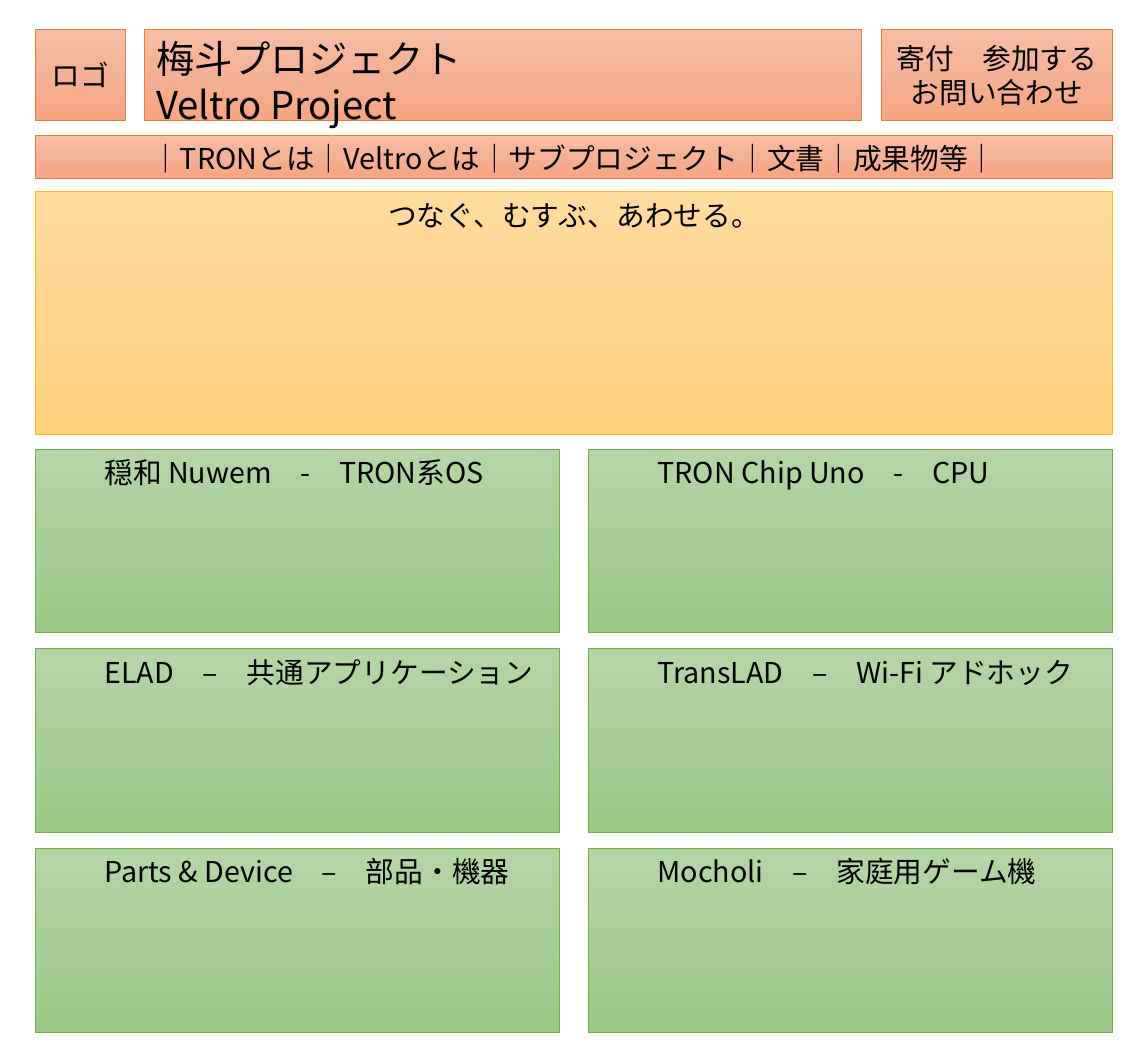
from copy import deepcopy

from lxml import etree
from pptx import Presentation
from pptx import util as u
from pptx.dml.color import RGBColor
from pptx.enum import shapes, text
from pptx.oxml.ns import qn

FONT = "Noto Sans CJK JP"
COLORS = {
    "text": "000000",
    "header": ("F7BDA5", "F5B196", "F8A582", "ED7D31"),
    "hero": ("FFDB9E", "FFD590", "FFD07C", "FFC000"),
    "project": ("B5D5A7", "AACE9A", "9CC987", "70AD47"),
}
LEFT, CENTER = text.PP_ALIGN.LEFT, text.PP_ALIGN.CENTER
TOP, MIDDLE = text.MSO_ANCHOR.TOP, text.MSO_ANCHOR.MIDDLE


class Wireframe:
    """Holds the style and the current slide."""

    def __init__(self, slide):
        self.s = slide

    def paint(self, sp, theme):
        """Give a shape its three-stop vertical gradient and thin border."""
        *stops, border = COLORS[theme]
        sp.fill.gradient()
        sp.fill.gradient_angle = 270
        first = sp._element.spPr.find(".//" + qn("a:gs"))
        first.addnext(deepcopy(first))
        for i, (stop, color) in enumerate(zip(sp.fill.gradient_stops, stops)):
            stop.position = i / 2
            stop.color.rgb = RGBColor.from_string(color)
        sp.line.color.rgb = RGBColor.from_string(border)
        sp.line.width = u.Pt(0.5)

    def label(self, sp, lines, size=18, align=CENTER, anchor=TOP, indent=0):
        """Fill a shape with one paragraph per line."""
        tf = sp.text_frame
        frame = {"word_wrap": True, "auto_size": text.MSO_AUTO_SIZE.NONE,
                 "vertical_anchor": anchor}
        for key, value in frame.items():
            setattr(tf, key, value)
        for i, line in enumerate(lines):
            p = tf.paragraphs[0] if i == 0 else tf.add_paragraph()
            p.alignment = align
            if indent:
                p.level = 1
                p._p.get_or_add_pPr().set("marL", str(u.Cm(indent)))
            r = p.add_run()
            r.text = line
            for key, value in {"name": FONT, "size": u.Pt(size)}.items():
                setattr(r.font, key, value)
            r.font.color.rgb = RGBColor.from_string(COLORS["text"])
            east_asian = etree.Element(qn("a:ea"), typeface=FONT)
            r._r.find(".//" + qn("a:latin")).addnext(east_asian)

    def title(self, place, theme, lines, **style):
        """Move and format the title placeholder."""
        sp = self.s.shapes.title
        sp.left, sp.top, sp.width, sp.height = map(u.Cm, place)
        self.paint(sp, theme)
        self.label(sp, lines, **style)

    def box(self, place, theme, lines, **style):
        """Add a labelled rectangle."""
        sp = self.s.shapes.add_shape(shapes.MSO_SHAPE.RECTANGLE, *map(u.Cm, place))
        sp.shadow.inherit = False
        self.paint(sp, theme)
        self.label(sp, lines, **style)


def main():
    """Build the home page wireframe."""
    prs = Presentation()
    prs.slide_width, prs.slide_height = u.Cm(25.4), u.Cm(23.09)
    page = Wireframe(prs.slides.add_slide(prs.slide_layouts[5]))
    margin, full_width = 0.79, 23.82
    header_top, header_height = 0.66, 2.01

    page.title((3.2, header_top, 15.85, header_height), "header",
               ["梅斗プロジェクト", "Veltro Project"], size=24, align=LEFT)
    page.box((margin, header_top, 1.98, header_height), "header", ["ロゴ"],
             anchor=MIDDLE)
    page.box((19.5, header_top, 5.11, header_height), "header",
             ["寄付　参加する", "お問い合わせ"], anchor=MIDDLE)
    menu = ["TRONとは", "Veltroとは", "サブプロジェクト", "文書", "成果物等"]
    page.box((margin, 3, full_width, 0.94), "header",
             ["｜" + "｜".join(menu) + "｜"])
    page.box((margin, 4.24, full_width, 5.36), "hero",
             ["つなぐ、むすぶ、あわせる。"])

    projects = [
        "穏和 Nuwem　-　TRON系OS", "TRON Chip Uno　-　CPU",
        "ELAD　–　共通アプリケーション", "TransLAD　–　Wi-Fi アドホック",
        "Parts & Device　–　部品・機器", "Mocholi　–　家庭用ゲーム機",
    ]
    width, height, gap_x, gap_y = 11.58, 4.06, 0.66, 0.36
    for i, project in enumerate(projects):
        row, col = divmod(i, 2)
        place = (margin + col * (width + gap_x), 9.93 + row * (height + gap_y),
                 width, height)
        page.box(place, "project", [project], align=LEFT, indent=1.27)

    prs.save("out.pptx")


main()
